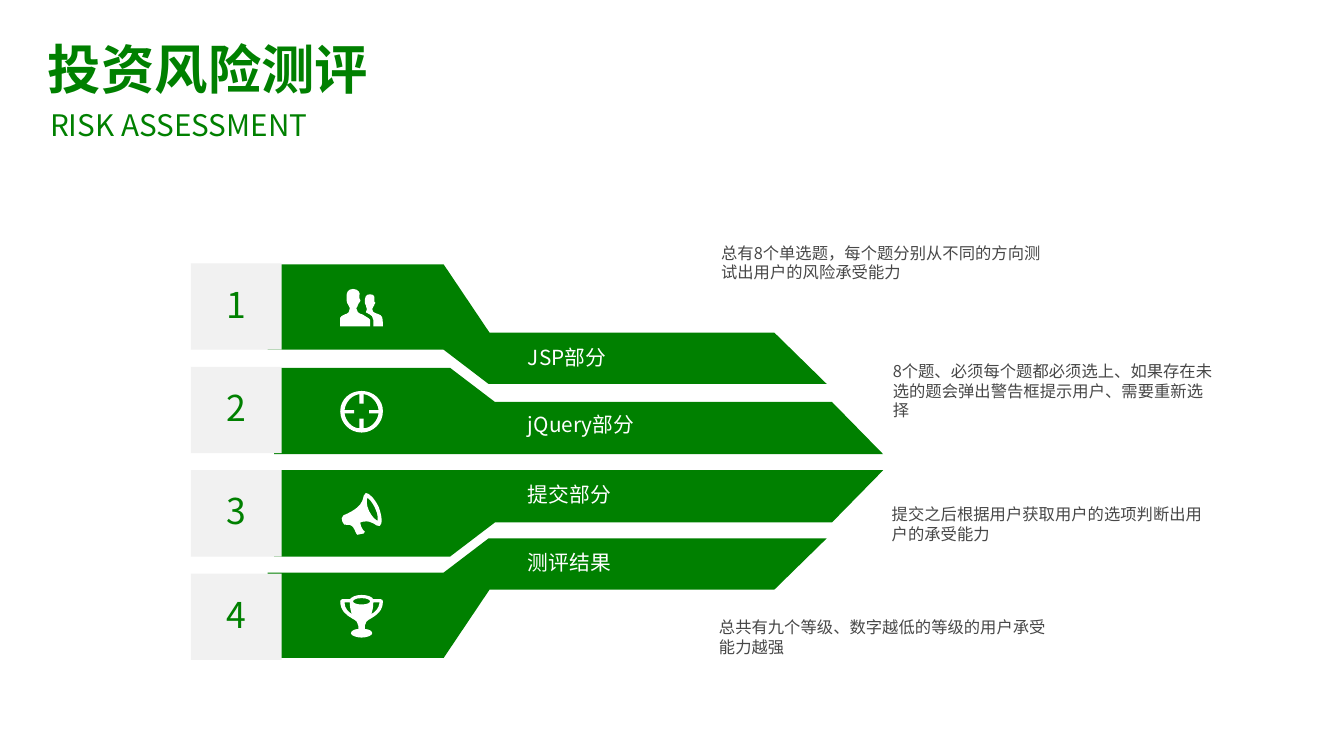
from lxml.etree import Element, SubElement
from pptx import Presentation
from pptx.dml.color import RGBColor
from pptx.enum.shapes import MSO_SHAPE
from pptx.enum.text import MSO_ANCHOR, MSO_AUTO_SIZE, PP_ALIGN
from pptx.oxml.ns import qn
from pptx.util import Inches, Pt

GREEN = RGBColor(0x00, 0x80, 0x00)
PALE = RGBColor(0xF1, 0xF1, 0xF1)
GREY = RGBColor(0x47, 0x47, 0x47)
WHITE = RGBColor(0xFF, 0xFF, 0xFF)
FONT = "Noto Sans CJK SC"

ROW_TOP = 2.47
ROW_PITCH = 0.97
ROW_HEIGHT = 0.81
NUMBER_LEFT = 1.79
NUMBER_WIDTH = 0.85
ICON_LEFT = 3.19
ICON_TOP = 2.71
ICON_PITCH = 2.87 / 3
LABEL_LEFT = 4.95

OUTER_BAND = [(2.51, 2.48), (4.16, 2.48), (4.59, 3.12), (7.26, 3.12),
              (7.75, 3.6), (4.58, 3.6), (4.16, 3.28), (2.51, 3.28)]
INNER_BAND = [(2.57, 3.45), (4.22, 3.45), (4.64, 3.77), (7.8, 3.77),
              (8.28, 4.26), (2.57, 4.26)]

PEOPLE = [
    [(21, 24), (17, 23, 15, 21, 15, 18), (15, 17, 17, 17, 17, 14),
     (17, 13, 18, 14, 19, 11), (19, 10, 18, 9, 18, 9), (18, 9, 18, 8, 18, 6),
     (19, 4, 17, 0, 12, 0), (7, 0, 6, 4, 6, 6), (6, 8, 6, 9, 6, 9),
     (6, 9, 6, 10, 6, 11), (6, 14, 7, 13, 7, 14), (8, 17, 9, 17, 9, 18),
     (9, 21, 8, 23, 4, 24), (2, 25, 0, 26, 0, 27), (0, 35), (28, 35),
     (28, 29), (28, 28, 24, 26, 21, 24)],
    [(40, 35), (40, 35, 40, 27, 39, 26), (39, 25, 37, 24, 34, 23),
     (31, 22, 30, 21, 30, 19), (30, 17, 31, 18, 32, 15),
     (32, 14, 32, 15, 33, 13), (33, 12, 32, 12, 32, 12), (32, 10),
     (33, 8, 32, 5, 28, 5), (24, 5, 23, 8, 23, 10), (23, 13),
     (23, 15, 24, 14, 24, 15), (24, 18, 25, 17, 25, 19),
     (25, 20, 25, 21, 24, 22), (30, 25, 31, 26, 31, 29), (31, 35)],
]
TARGET = [
    [(22, 35), (22, 26), (18, 26), (18, 35), (11, 35, 5, 28, 4, 21),
     (13, 21), (13, 18), (4, 18), (5, 10, 11, 4, 18, 3), (18, 12), (22, 12),
     (22, 3), (29, 4, 35, 10, 36, 18), (27, 18), (27, 21), (36, 21),
     (35, 28, 29, 35, 22, 35)],
    [(20, 0), (9, 0, 0, 8, 0, 19), (0, 30, 9, 39, 20, 39),
     (31, 39, 40, 30, 40, 19), (40, 8, 31, 0, 20, 0)],
]
MEGAPHONE = [
    [(35, 26), (34, 26, 30, 23, 27, 17), (24, 11, 25, 5, 25, 5),
     (26, 4, 30, 8, 33, 15), (36, 21, 35, 26, 35, 26)],
    [(36, 13), (32, 5, 27, 0, 24, 0), (19, 2, 27, 11, 3, 21),
     (1, 22, 1, 25, 2, 27), (2, 29, 5, 31, 7, 30), (9, 30),
     (10, 32, 12, 30, 12, 32), (13, 33, 14, 36, 15, 38),
     (15, 39, 17, 40, 17, 39), (18, 39, 21, 38, 22, 38),
     (23, 37, 23, 36, 23, 36), (22, 35, 21, 35, 21, 34),
     (20, 33, 19, 30, 19, 29), (18, 28, 19, 27, 21, 27),
     (31, 25, 33, 32, 37, 31), (40, 29, 39, 21, 36, 13)],
]
TROPHY = [
    [(4, 7), (9, 7), (9, 12, 10, 16, 11, 18), (8, 16, 4, 13, 4, 7)],
    [(20, 3), (26, 3, 28, 5, 28, 6), (28, 7, 26, 9, 20, 9),
     (14, 9, 12, 7, 12, 6), (12, 5, 14, 3, 20, 3)],
    [(29, 18), (30, 16, 31, 12, 31, 7), (37, 7), (36, 13, 33, 16, 29, 18)],
    [(23, 29), (23, 26, 25, 24, 29, 22), (34, 19, 40, 15, 40, 6),
     (40, 5, 39, 4, 38, 4), (31, 4), (30, 2, 26, 0, 20, 0),
     (14, 0, 11, 2, 9, 4), (2, 4), (1, 4, 0, 5, 0, 6),
     (0, 15, 6, 19, 11, 22), (15, 24, 17, 26, 17, 29), (17, 32),
     (13, 32, 10, 34, 10, 36), (10, 38, 15, 40, 20, 40),
     (25, 40, 30, 38, 30, 36), (30, 34, 27, 32, 23, 32)],
]


def write_text(shape, text, size, color, bold=False, align=PP_ALIGN.LEFT,
               anchor=MSO_ANCHOR.TOP, inset=(0, 0), spacing=1.0):
    frame = shape.text_frame
    frame.word_wrap = True
    frame.auto_size = MSO_AUTO_SIZE.NONE
    frame.vertical_anchor = anchor
    frame.margin_left = frame.margin_right = Inches(inset[0])
    frame.margin_top = frame.margin_bottom = Inches(inset[1])
    paragraph = frame.paragraphs[0]
    paragraph.alignment = align
    paragraph.line_spacing = spacing
    run = paragraph.add_run()
    run.text = text
    run.font.size = Pt(size)
    run.font.bold = bold
    run.font.color.rgb = color
    run.font.name = FONT
    SubElement(run.font._element, qn("a:ea"), typeface=FONT)


def draw_outline(shapes, contours, color, left=0, top=0, unit=1):
    builder = None
    for contour in contours:
        anchors = [(Inches(left + step[-2] * unit), Inches(top + step[-1] * unit))
                   for step in contour]
        if builder is None:
            builder = shapes.build_freeform(*anchors[0], scale=1.0)
        else:
            builder.move_to(*anchors[0])
        builder.add_line_segments(anchors[1:], close=True)
    shape = builder.convert_to_shape()
    steps = [step for contour in contours for step in contour[1:]]
    segments = list(shape._element.iter(qn("a:lnTo")))
    for step, segment in zip(steps, segments):
        if len(step) == 6:
            segment.tag = qn("a:cubicBezTo")
            for index in (0, 1):
                x, y = step[2 * index:2 * index + 2]
                control = Element(qn("a:pt"),
                                  x=str(Inches(left + x * unit) - shape.left),
                                  y=str(Inches(top + y * unit) - shape.top))
                segment.insert(index, control)
    shape.shadow.inherit = False
    shape.fill.solid()
    shape.fill.fore_color.rgb = color
    shape.line.fill.background()


presentation = Presentation()
presentation.slide_width = Inches(12.6)
presentation.slide_height = Inches(7.09)
slide = presentation.slides.add_slide(presentation.slide_layouts[5])
shapes = slide.shapes

title = shapes.title
title.left, title.top = Inches(0.34), Inches(0.28)
title.width, title.height = Inches(3.99), Inches(0.72)
write_text(title, "投资风险测评", size=36, color=GREEN, bold=True, inset=(0.11, 0.06))

subtitle = shapes.add_textbox(Inches(0.47), Inches(1), Inches(3.94), Inches(0.34))
write_text(subtitle, "RISK ASSESSMENT", size=20, color=GREEN)

lower_bands = [[(x, mirror_sum - y) for x, y in band]
               for band, mirror_sum in ((INNER_BAND, 8.67), (OUTER_BAND, 8.65))]
bands = [OUTER_BAND, INNER_BAND] + lower_bands

rows = [
    (PEOPLE, "JSP部分", 3.23, (6.76, 2.28, 3.05, 0.37),
     "总有8个单选题，每个题分别从不同的方向测试出用户的风险承受能力"),
    (TARGET, "jQuery部分", 3.86, (8.37, 3.39, 3.05, 0.55),
     "8个题、必须每个题都必须选上、如果存在未选的题会弹出警告框提示用户、需要重新选择"),
    (MEGAPHONE, "提交部分", 4.52, (8.36, 4.73, 3.05, 0.37),
     "提交之后根据用户获取用户的选项判断出用户的承受能力"),
    (TROPHY, "测评结果", 5.16, (6.74, 5.79, 3.08, 0.37),
     "总共有九个等级、数字越低的等级的用户承受能力越强"),
]

for row, (icon, label, label_top, note_area, note) in enumerate(rows):
    draw_outline(shapes, [bands[row]], GREEN)

    number = shapes.add_shape(MSO_SHAPE.RECTANGLE, Inches(NUMBER_LEFT),
                              Inches(ROW_TOP + row * ROW_PITCH),
                              Inches(NUMBER_WIDTH), Inches(ROW_HEIGHT))
    number.shadow.inherit = False
    number.fill.solid()
    number.fill.fore_color.rgb = PALE
    number.line.fill.background()
    write_text(number, str(row + 1), size=24, color=GREEN, align=PP_ALIGN.CENTER,
               anchor=MSO_ANCHOR.MIDDLE, inset=(0, 0.05), spacing=0.9)

    draw_outline(shapes, icon, WHITE, left=ICON_LEFT,
                 top=ICON_TOP + row * ICON_PITCH, unit=0.01)

    label_box = shapes.add_textbox(Inches(LABEL_LEFT), Inches(label_top),
                                   Inches(2.01), Inches(0.24))
    write_text(label_box, label, size=14, color=WHITE)

    note_box = shapes.add_textbox(*(Inches(length) for length in note_area))
    write_text(note_box, note, size=11, color=GREY)

presentation.save("out.pptx")
